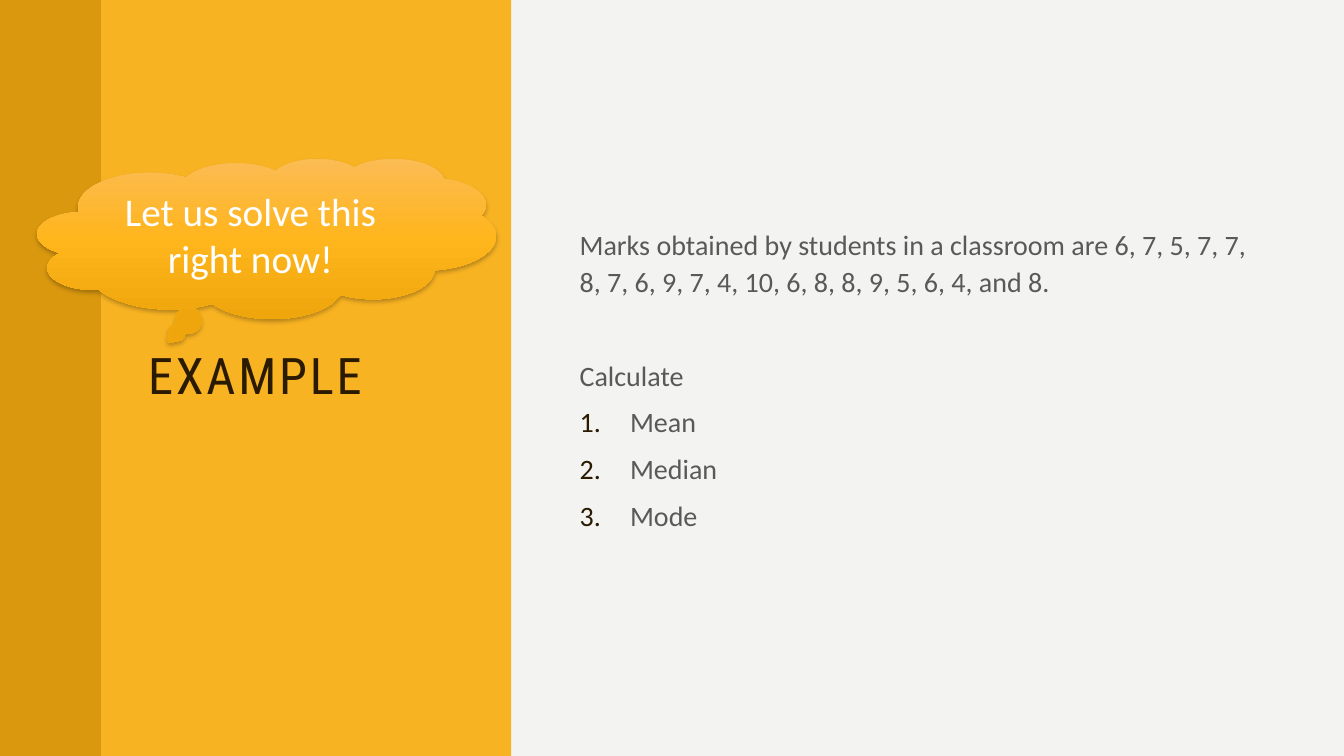
"""Builds the worked-example slide on mean, median and mode."""
from lxml import etree
from pptx import Presentation
from pptx.dml.color import RGBColor
from pptx.enum.shapes import MSO_SHAPE
from pptx.enum.text import MSO_ANCHOR, PP_ALIGN
from pptx.oxml import parse_xml
from pptx.oxml.ns import nsdecls, qn
from pptx.util import Inches, Pt

RECTANGLE, CLOUD = MSO_SHAPE.RECTANGLE, MSO_SHAPE.CLOUD_CALLOUT
MIDDLE, CENTER, LEFT = MSO_ANCHOR.MIDDLE, PP_ALIGN.CENTER, PP_ALIGN.LEFT

TITLE = "EXAMPLE"
CALLOUT = "Let us solve this right now!"
MARKS = ("Marks obtained by students in a classroom are 6, 7, 5, 7, 7, "
         "8, 7, 6, 9, 7, 4, 10, 6, 8, 8, 9, 5, 6, 4, and 8.")
TASK = "Calculate"
MEASURES = ["Mean", "Median", "Mode"]

COLORS = {"background": "F3F3F2", "panel": "F8B323", "wave": "CE8D07",
          "dark": "2A1A00", "body": "595959", "white": "FFFFFF"}
CLOUD_STOPS = [(0, "FBBC54"), (50, "FFB51C"), (100, "EFA60C")]
BODY_FONT, TITLE_FONT = "Calibri", "Roboto Condensed"

WIDTH, HEIGHT = 13.33, 7.5
PANEL_BOX = (0, 0, 5.07, HEIGHT)
TITLE_BOX = (1.37, 1.18, 3.19, 5.14)
BODY_BOX = (5.65, 1.18, 6.85, 5.14)
CLOUD_BOX = (0.37, 1.57, 4.55, 1.59)
WAVE_PERIOD = 1.5
HALF_WAVE = [(0.78, 0), (0.78, 0.07), (0.79, 0.14), (0.8, 0.2), (0.81, 0.25),
             (0.83, 0.29), (0.85, 0.33), (0.87, 0.38), (0.89, 0.42),
             (0.91, 0.46), (0.93, 0.5), (0.95, 0.55), (0.96, 0.61),
             (0.97, 0.68), (0.97, 0.75)]


def color(name):
    return RGBColor.from_string(COLORS[name])


def paint(shape, name):
    shape.fill.solid()
    shape.fill.fore_color.rgb = color(name)
    shape.line.fill.background()
    shape.shadow.inherit = False


def style(paragraph, size, font, ink, align=LEFT):
    paragraph.alignment = align
    for run in paragraph.runs:
        run.font.size = Pt(size)
        run.font.name = font
        run.font.color.rgb = color(ink)


def add_text_frame(slide, box):
    frame = slide.shapes.add_textbox(*map(Inches, box)).text_frame
    frame.word_wrap = True
    frame.vertical_anchor = MIDDLE
    return frame


def add_wave(slide):
    wave = HALF_WAVE + [(x, WAVE_PERIOD - y) for x, y in HALF_WAVE[-2::-1]]
    edge = [(x, y + period * WAVE_PERIOD)
            for period in range(round(HEIGHT / WAVE_PERIOD)) for x, y in wave]
    builder = slide.shapes.build_freeform(0, 0, scale=Inches(1))
    builder.add_line_segments(edge + [(0, HEIGHT)], close=True)
    strip = builder.convert_to_shape()
    paint(strip, "wave")
    tint = strip.fill._xPr.find(qn("a:solidFill"))[0]
    etree.SubElement(tint, qn("a:alpha"), val="70000")


def add_title(slide):
    title = add_text_frame(slide, TITLE_BOX).paragraphs[0]
    title.text = TITLE
    title.line_spacing = 0.9
    style(title, 36, TITLE_FONT, "dark")
    title.runs[0].font._element.set("spc", "200")


def number(paragraph):
    properties = paragraph._p.get_or_add_pPr()
    properties.set("marL", str(Inches(0.5)))
    properties.set("indent", str(Inches(-0.5)))
    ink = etree.SubElement(properties, qn("a:buClr"))
    etree.SubElement(ink, qn("a:srgbClr"), val=COLORS["dark"])
    etree.SubElement(properties, qn("a:buFont"), typeface="+mj-lt")
    etree.SubElement(properties, qn("a:buAutoNum"), type="arabicPeriod")


def add_body(slide):
    frame = add_text_frame(slide, BODY_BOX)
    frame.text = "\n".join([MARKS, TASK] + MEASURES)
    for paragraph in frame.paragraphs:
        paragraph.line_spacing = 1.1
        paragraph.space_before = Pt(40.5 if paragraph.text == TASK else 7)
        style(paragraph, 20, BODY_FONT, "body")
        if paragraph.text in MEASURES:
            number(paragraph)


def add_cloud(slide):
    cloud = slide.shapes.add_shape(CLOUD, *map(Inches, CLOUD_BOX))
    paint(cloud, "panel")
    properties = cloud._element.spPr
    stops = "".join(f'<a:gs pos="{place * 1000}"><a:srgbClr val="{tone}"/></a:gs>'
                    for place, tone in CLOUD_STOPS)
    properties.replace(properties.find(qn("a:solidFill")), parse_xml(
        f'<a:gradFill {nsdecls("a")} rotWithShape="1"><a:gsLst>{stops}</a:gsLst>'
        '<a:lin ang="5400000" scaled="0"/></a:gradFill>'))
    properties.find(qn("a:effectLst")).append(parse_xml(
        f'<a:outerShdw {nsdecls("a")} blurRad="{Pt(3)}" dist="{Pt(2)}" '
        'dir="5400000" rotWithShape="0"><a:srgbClr val="000000">'
        '<a:alpha val="25000"/></a:srgbClr></a:outerShdw>'))
    frame = cloud.text_frame
    frame.word_wrap = True
    frame.vertical_anchor = MIDDLE
    frame.text = CALLOUT
    style(frame.paragraphs[0], 28, BODY_FONT, "white", CENTER)


def main():
    deck = Presentation()
    deck.slide_width, deck.slide_height = Inches(WIDTH), Inches(HEIGHT)
    slide = deck.slides.add_slide(deck.slide_layouts[6])
    slide.background.fill.solid()
    slide.background.fill.fore_color.rgb = color("background")
    paint(slide.shapes.add_shape(RECTANGLE, *map(Inches, PANEL_BOX)), "panel")
    add_title(slide)
    add_wave(slide)
    add_body(slide)
    add_cloud(slide)
    deck.save("out.pptx")


if __name__ == "__main__":
    main()
